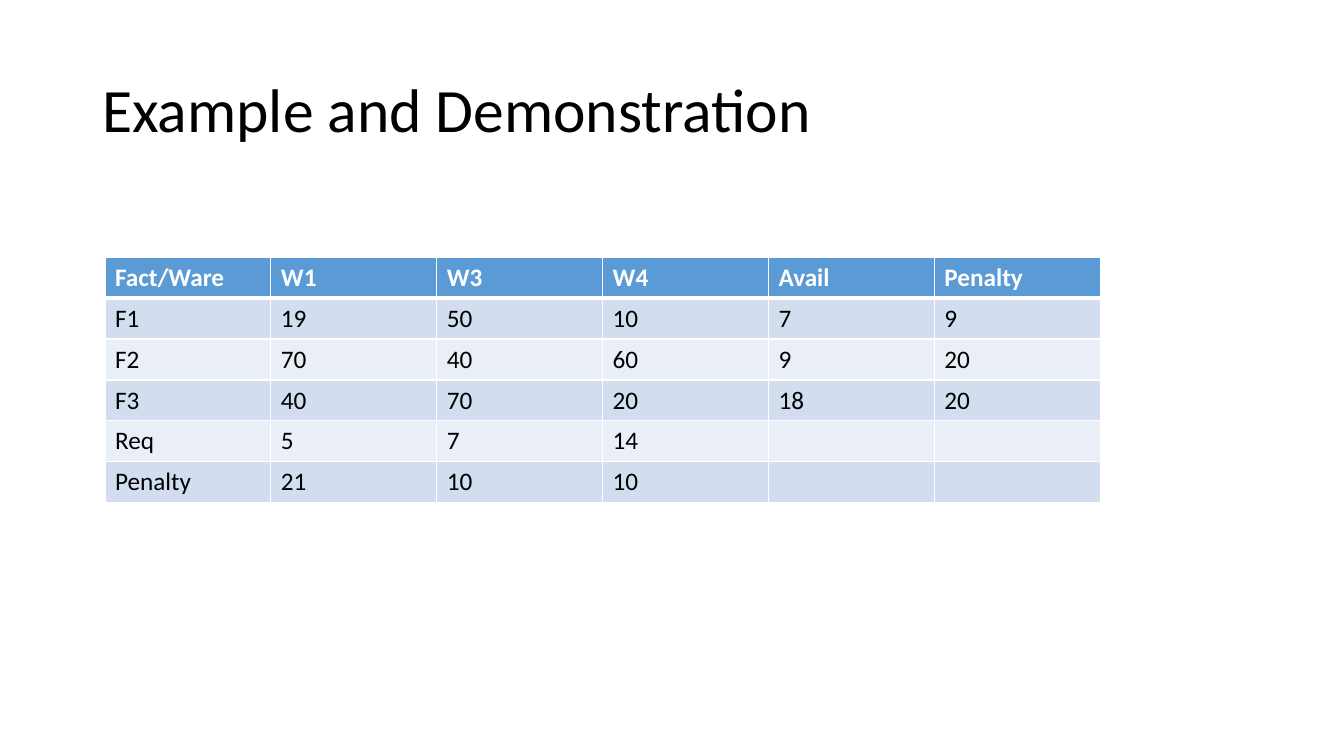
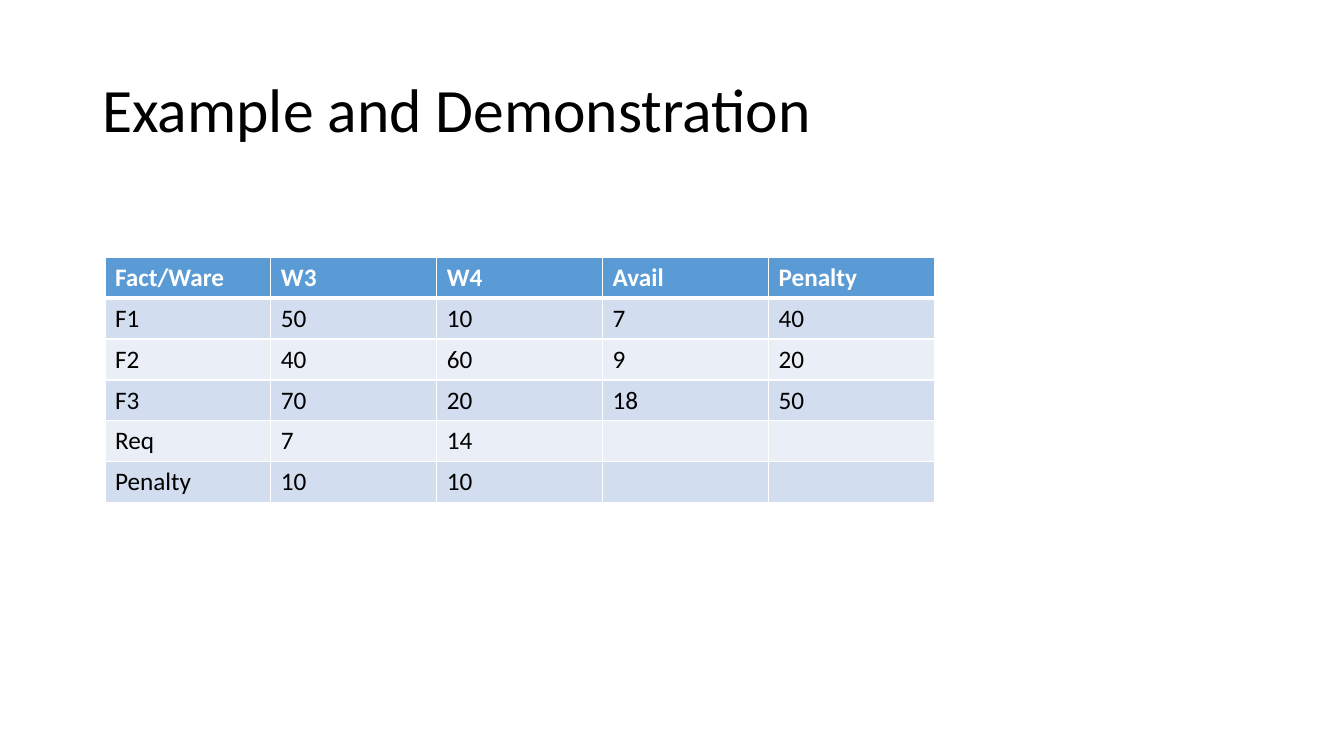
from dataclasses import dataclass

from lxml import etree
from pptx import Presentation
from pptx.dml.color import RGBColor
from pptx.enum.text import MSO_ANCHOR
from pptx.oxml.ns import qn
from pptx.presentation import Presentation as Deck
from pptx.slide import Slide
from pptx.table import _Cell
from pptx.text.text import _Paragraph
from pptx.util import Emu, Pt

MIDDLE = MSO_ANCHOR.MIDDLE
EMU_PER_PX = 9525
EMU_PER_POINT = 12700
BLANK_LAYOUT = 6

FONT = "Calibri"
BLACK = "000000"
WHITE = "FFFFFF"
HEADER_BLUE = "5B9BD5"
BANDS = ("D2DEEF", "EAEFF7")

TITLE = "Example and Demonstration"
TABLE_LEFT, TABLE_TOP = 100, 245
COLUMN_WIDTH, ROW_HEIGHT = 158, 39
THIN, THICK = 1, 3


@dataclass(frozen=True)
class CostTable:
    header: tuple[str, ...]
    rows: tuple[tuple[str, ...], ...]


COST_TABLES = (
    CostTable(
        ("Fact/Ware", "W1", "W3", "W4", "Avail", "Penalty"),
        (
            ("F1", "19", "50", "10", "7", "9"),
            ("F2", "70", "40", "60", "9", "20"),
            ("F3", "40", "70", "20", "18", "20"),
            ("Req", "5", "7", "14", "", ""),
            ("Penalty", "21", "10", "10", "", ""),
        ),
    ),
    CostTable(
        ("Fact/Ware", "W3", "W4", "Avail", "Penalty"),
        (
            ("F1", "50", "10", "7", "40"),
            ("F2", "40", "60", "9", "20"),
            ("F3", "70", "20", "18", "50"),
            ("Req", "7", "14", "", ""),
            ("Penalty", "10", "10", "", ""),
        ),
    ),
)


def px(length: int) -> Emu:
    return Emu(length * EMU_PER_PX)


def color(value: str) -> RGBColor:
    return RGBColor.from_string(value)


def add_run(paragraph: _Paragraph, text: str, size: int, ink: str, bold: bool = False) -> None:
    run = paragraph.add_run()
    run.text = text
    run.font.name = FONT
    run.font.size = Pt(size)
    run.font.bold = bold
    run.font.color.rgb = color(ink)


def add_title(slide: Slide) -> None:
    title = slide.shapes.add_textbox(px(88), px(38), px(1104), px(139))
    frame = title.text_frame
    frame.word_wrap = True
    frame.vertical_anchor = MIDDLE
    paragraph = frame.paragraphs[0]
    paragraph.line_spacing = 0.9
    add_run(paragraph, TITLE, 44, BLACK)


def set_borders(cell: _Cell, top: int, bottom: int) -> None:
    properties = cell._tc.get_or_add_tcPr()
    for side, points in (("L", THIN), ("R", THIN), ("T", top), ("B", bottom)):
        line = etree.SubElement(properties, qn(f"a:ln{side}"), w=str(points * EMU_PER_POINT))
        fill = etree.SubElement(line, qn("a:solidFill"))
        etree.SubElement(fill, qn("a:srgbClr"), val=WHITE)


def add_cost_table(slide: Slide, costs: CostTable) -> None:
    lines = (costs.header, *costs.rows)
    table = slide.shapes.add_table(
        len(lines),
        len(costs.header),
        px(TABLE_LEFT),
        px(TABLE_TOP),
        px(COLUMN_WIDTH * len(costs.header)),
        px(ROW_HEIGHT * len(lines)),
    ).table
    for column in table.columns:
        column.width = px(COLUMN_WIDTH)
    for row_index, values in enumerate(lines):
        table.rows[row_index].height = px(ROW_HEIGHT)
        is_header = row_index == 0
        background = HEADER_BLUE if is_header else BANDS[(row_index - 1) % len(BANDS)]
        for column_index, value in enumerate(values):
            cell = table.cell(row_index, column_index)
            set_borders(
                cell,
                top=THICK if row_index == 1 else THIN,
                bottom=THICK if is_header else THIN,
            )
            cell.fill.solid()
            cell.fill.fore_color.rgb = color(background)
            if value:
                ink = WHITE if is_header else BLACK
                add_run(cell.text_frame.paragraphs[0], value, 18, ink, is_header)


def add_cost_slide(deck: Deck, costs: CostTable) -> None:
    slide = deck.slides.add_slide(deck.slide_layouts[BLANK_LAYOUT])
    add_title(slide)
    add_cost_table(slide, costs)


def main() -> None:
    deck = Presentation()
    deck.slide_width = px(1280)
    deck.slide_height = px(720)
    for costs in COST_TABLES:
        add_cost_slide(deck, costs)
    deck.save("out.pptx")


if __name__ == "__main__":
    main()
